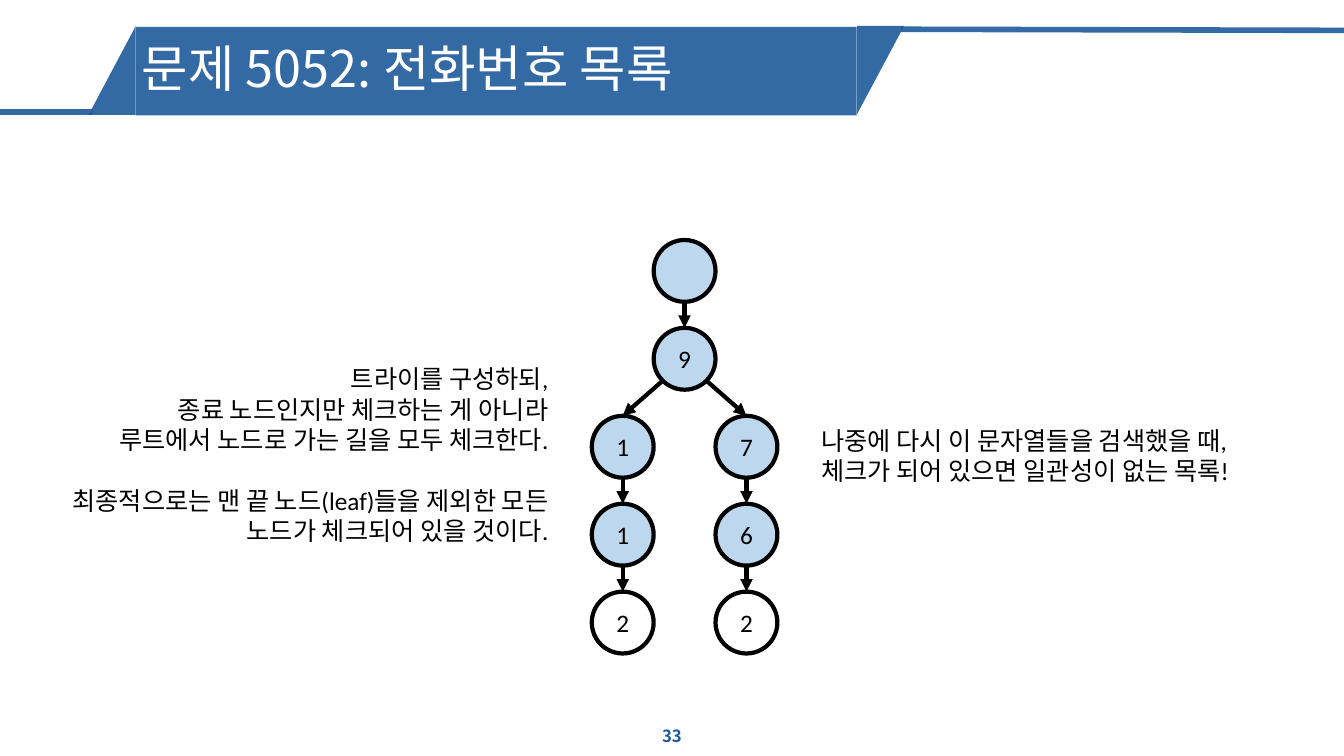
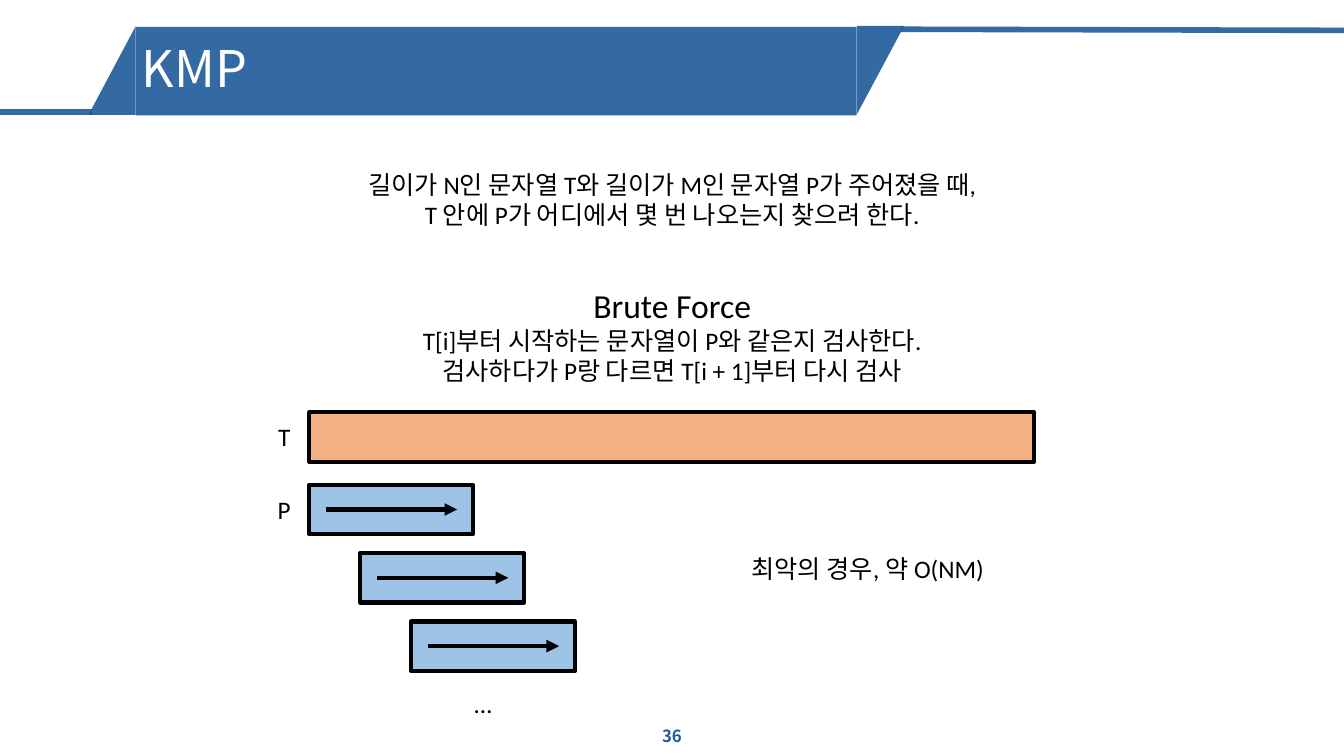
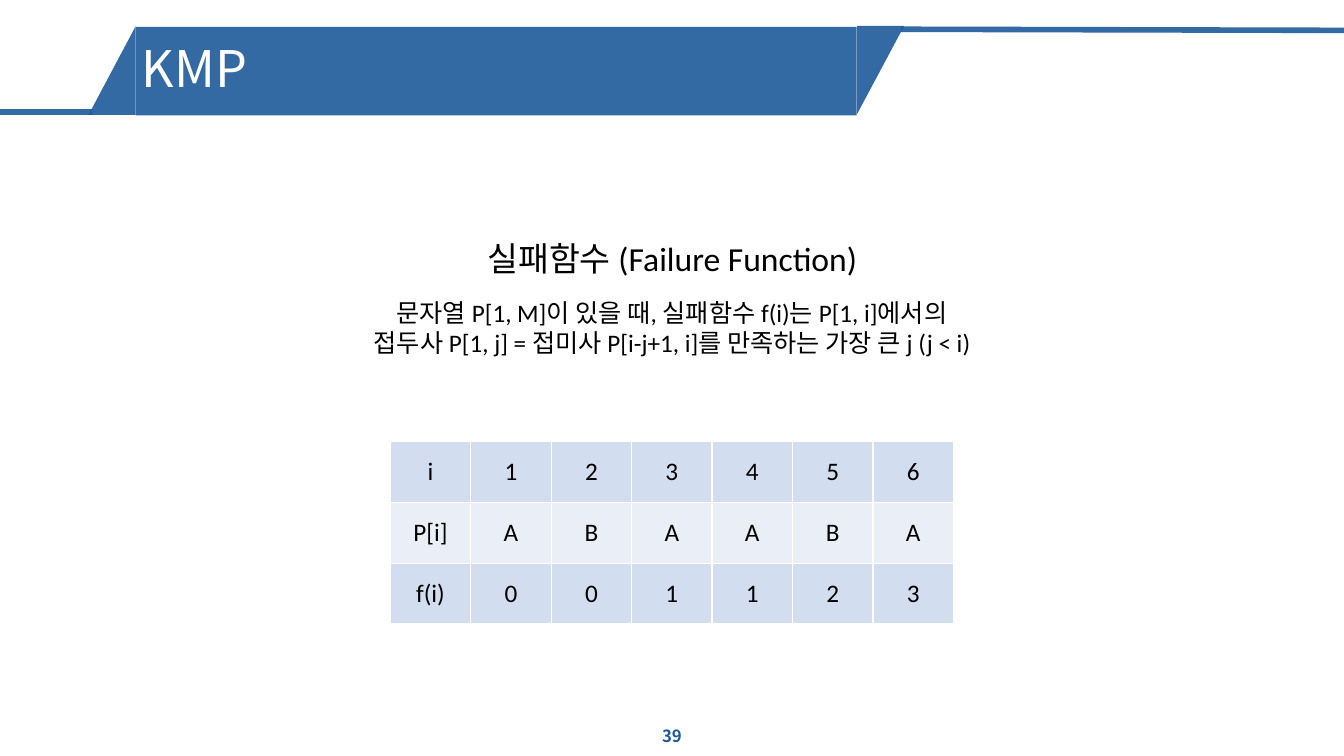
import pptx
import pptx.util
import pptx.dml.color
import pptx.enum.shapes
import pptx.enum.text
import pptx.oxml
import pptx.oxml.ns

Pt = pptx.util.Pt
RGB = pptx.dml.color.RGBColor
Kind = pptx.enum.shapes.MSO_SHAPE
Wire = pptx.enum.shapes.MSO_CONNECTOR
Align = pptx.enum.text.PP_ALIGN
Anchor = pptx.enum.text.MSO_ANCHOR
qn = pptx.oxml.ns.qn

NAVY = RGB(0x1E, 0x5A, 0x9B)
BLACK = RGB(0, 0, 0)
WHITE = RGB(0xFF, 0xFF, 0xFF)
PALE = RGB(0xBD, 0xD7, 0xEE)
SKY = RGB(0x9D, 0xC3, 0xE6)
PEACH = RGB(0xF4, 0xB1, 0x83)
BANDS = RGB(0xD2, 0xDE, 0xEF), RGB(0xEA, 0xEF, 0xF7)

BODY = "Calibri"
HEAD = "Noto Sans CJK KR"
OPACITY = 90


def add_xml(parent, tag, **attrs):
    node = pptx.oxml.parse_xml(f'<a:{tag} {pptx.oxml.ns.nsdecls("a")}/>')
    for key, value in attrs.items():
        node.set(key, str(value))
    parent.append(node)
    return node


def fade(part):
    for color in part.iter(qn("a:srgbClr")):
        add_xml(color, "alpha", val=OPACITY * 1000)


def add_run(para, text, size=18, color=BLACK, face=BODY, bold=None):
    run = para.add_run()
    run.text = text
    font = run.font
    font.size, font.name, font.bold = Pt(size), face, bold
    font.color.rgb = color
    add_xml(run._r.get_or_add_rPr(), "ea", typeface=face)


def add_text(slide, box, lines, align=Align.CENTER, anchor=Anchor.TOP, **style):
    frame = slide.shapes.add_textbox(*map(Pt, box)).text_frame
    frame.word_wrap = True
    frame.vertical_anchor = anchor
    for i, line in enumerate(lines):
        para = frame.paragraphs[0] if i == 0 else frame.add_paragraph()
        para.alignment = align
        add_run(para, line, **style)
    return frame


def add_form(slide, kind, box, fill, edge=BLACK):
    form = slide.shapes.add_shape(kind, *map(Pt, box))
    form.shadow.inherit = False
    form.fill.solid()
    form.fill.fore_color.rgb = fill
    if edge is None:
        form.line.fill.background()
    else:
        form.line.color.rgb = edge
        form.line.width = Pt(3)
    return form


def add_line(slide, start, end, color=BLACK, width=3, arrow=True):
    line = slide.shapes.add_connector(Wire.STRAIGHT, *map(Pt, start + end))
    line.line.color.rgb = color
    line.line.width = Pt(width)
    if arrow:
        add_xml(line.line._get_or_add_ln(), "tailEnd", type="triangle")
    add_xml(line._element.spPr, "effectLst")
    return line


def add_base(deck, title, page):
    slide = deck.slides.add_slide(deck.slide_layouts[6])
    forms = (
        (Kind.RIGHT_TRIANGLE, (597.6, 33.1, 62.9, 33.6), 90),
        (Kind.RIGHT_TRIANGLE, (48.4, 33.7, 63.2, 33.6), 270),
        (Kind.RECTANGLE, (97, 19.3, 515, 63.2), 0),
    )
    for kind, box, turn in forms:
        form = add_form(slide, kind, box, NAVY, None)
        form.rotation = turn
        fade(form._element.spPr)
    for start, end in (((66, 80), (0, 80)), ((960, 21.7), (643.7, 20.9))):
        fade(add_line(slide, start, end, NAVY, 4, False)._element.spPr)
    add_text(slide, (372, 511, 216, 29), [page], anchor=Anchor.MIDDLE,
             size=12, color=NAVY, face=HEAD, bold=True)
    frame = add_text(slide, (94.3, 21.6, 515, 58.3), [title], Align.LEFT,
                     Anchor.MIDDLE, size=36, color=WHITE, face=HEAD)
    frame.paragraphs[0].line_spacing = 0.9
    frame.paragraphs[0].space_before = Pt(10)
    return slide


def add_tree(slide, box):
    left, top, width, height = box
    size = 44.2
    half = size / 2
    step = (height - size) / 4
    side = (width - size) / 2
    nodes = (
        (1, 0, "", None), (1, 1, "9", 0), (0, 2, "1", 1), (2, 2, "7", 1),
        (0, 3, "1", 2), (2, 3, "6", 3), (0, 4, "2", 4), (2, 4, "2", 5),
    )
    made = []
    for col, row, text, up in nodes:
        x, y = left + col * side, top + row * step
        fill = WHITE if row == 4 else PALE
        node = add_form(slide, Kind.OVAL, (x, y, size, size), fill)
        node.text_frame.vertical_anchor = Anchor.MIDDLE
        if text:
            para = node.text_frame.paragraphs[0]
            para.alignment = Align.CENTER
            add_run(para, text)
        made.append((node, x + half, y + half))
        if up is not None:
            _, px, py = made[up]
            lean = col - nodes[up][0]
            reach = half * (0.71 if lean else 1)
            start = px + lean * reach, py + reach
            add_line(slide, start, (x + half, y)).end_connect(node, 0)


def add_scan(slide, box):
    left, top, width, _ = box
    high, wide = 35.3, 116.8
    first = top + 51.8
    add_form(slide, Kind.RECTANGLE, (left, top, width, high), PEACH)
    for text, y in (("T", top), ("P", first)):
        add_text(slide, (left - 36, y + 3, 36, 29), [text])
    for i in range(3):
        x, y = left + i * 36.4, first + i * 48.8
        add_form(slide, Kind.RECTANGLE, (x, y, wide, high), SKY)
        mid = y + high / 2
        add_line(slide, (x + 12, mid), (x + 105.6, mid))
    add_text(slide, (left + 106, top + 193.6, 36, 29), ["…"])


def add_grid(slide, box, rows):
    table = slide.shapes.add_table(len(rows), len(rows[0]), *map(Pt, box)).table
    table.first_row = table.horz_banding = False
    for r, row in enumerate(rows):
        for c, text in enumerate(row):
            cell = table.cell(r, c)
            cell.vertical_anchor = Anchor.MIDDLE
            para = cell.text_frame.paragraphs[0]
            para.alignment = Align.CENTER
            add_run(para, text)
            props = cell._tc.get_or_add_tcPr()
            for side in ("lnL", "lnR", "lnT", "lnB"):
                edge = add_xml(props, side, w=Pt(1))
                add_xml(add_xml(edge, "solidFill"), "srgbClr", val=WHITE)
            cell.fill.solid()
            cell.fill.fore_color.rgb = BANDS[r % 2]


def add_trie(deck):
    slide = add_base(deck, "문제 5052: 전화번호 목록", "33")
    frame = add_text(slide, (12.2, 256.3, 386.6, 138.2), [
        "트라이를 구성하되,",
        "종료 노드인지만 체크하는 게 아니라",
        "루트에서 노드로 가는 길을 모두 체크한다.",
        "최종적으로는 맨 끝 노드(leaf)들을 제외한 모든 노드가 체크되어 있을 것이다.",
    ], Align.RIGHT)
    frame.paragraphs[3].space_before = Pt(22)
    add_tree(slide, (422.7, 171.4, 132.6, 295.4))
    add_text(slide, (579.6, 300.2, 365, 51), [
        "나중에 다시 이 문자열들을 검색했을 때,",
        "체크가 되어 있으면 일관성이 없는 목록!",
    ], Align.LEFT)


def add_brute(deck):
    slide = add_base(deck, "KMP", "36")
    add_text(slide, (199.4, 117.4, 561.6, 51), [
        "길이가 N인 문자열 T와 길이가 M인 문자열 P가 주어졌을 때,",
        "T 안에 P가 어디에서 몇 번 나오는지 찾으려 한다.",
    ])
    frame = add_text(slide, (199.4, 200.2, 561.6, 80), [
        "Brute Force",
        "T[i]부터 시작하는 문자열이 P와 같은지 검사한다.",
        "검사하다가 P랑 다르면 T[i + 1]부터 다시 검사",
    ])
    frame.paragraphs[0].runs[0].font.size = Pt(24)
    add_scan(slide, (221, 294.5, 517.7, 222.6))
    add_text(slide, (501, 391.7, 237.6, 29), ["최악의 경우, 약 O(NM)"])


def add_fail(deck):
    slide = add_base(deck, "KMP", "39")
    add_text(slide, (199.4, 166.3, 561.6, 36), ["실패함수 (Failure Function)"], size=24)
    add_grid(slide, (278.8, 315.5, 402.4, 130.2), (
        ("i", *"123456"), ("P[i]", *"ABAABA"), ("f(i)", *"001123"),
    ))
    add_text(slide, (170, 208.8, 620, 51), [
        "문자열 P[1, M]이 있을 때, 실패함수 f(i)는 P[1, i]에서의",
        "접두사 P[1, j] = 접미사 P[i-j+1, i]를 만족하는 가장 큰 j (j < i)",
    ])


def main():
    deck = pptx.Presentation()
    deck.slide_width, deck.slide_height = Pt(960), Pt(540)
    for build in (add_trie, add_brute, add_fail):
        build(deck)
    deck.save("out.pptx")


if __name__ == "__main__":
    main()
